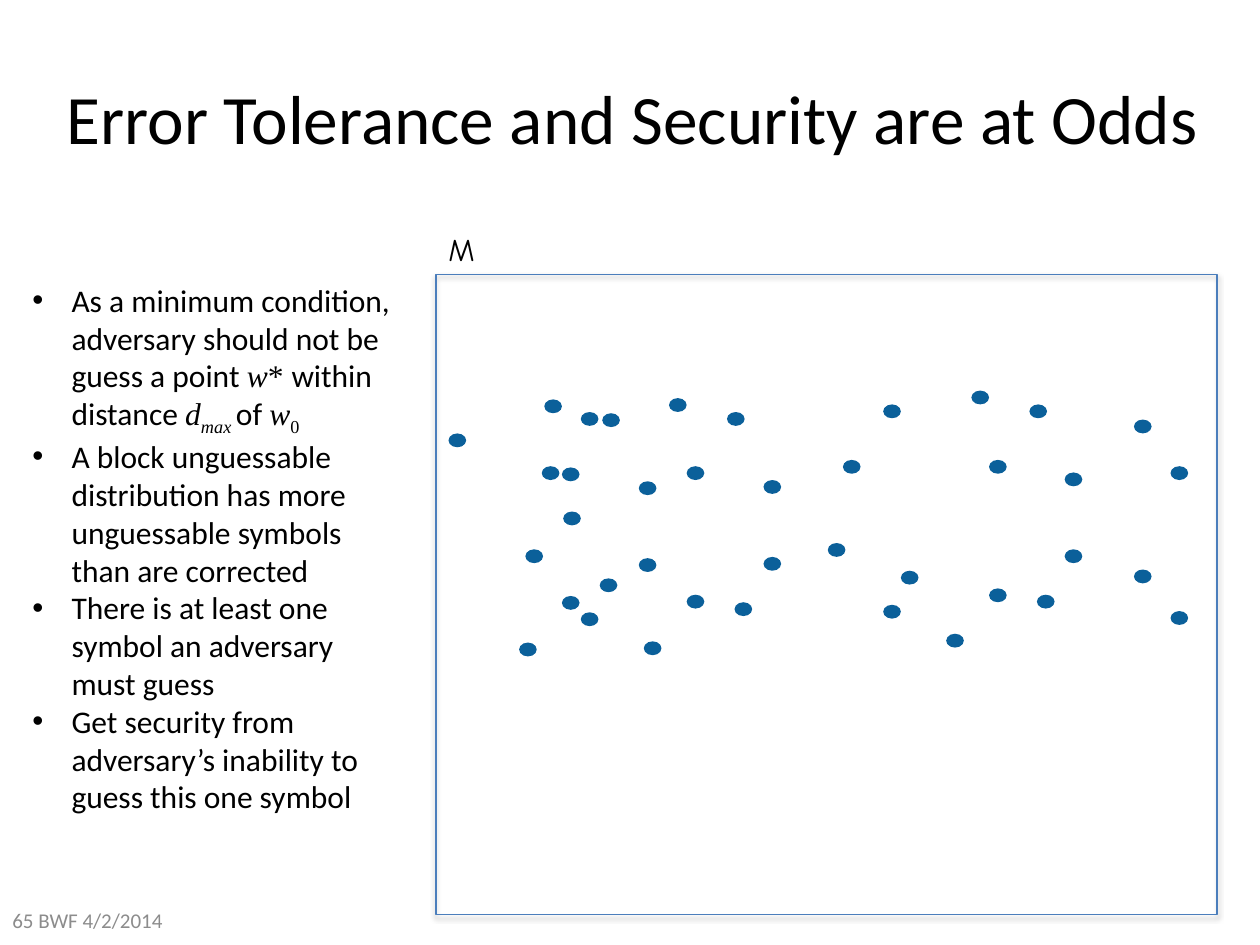
from lxml import etree
from pptx import Presentation
from pptx import util as u
from pptx.dml.color import RGBColor
from pptx.enum import shapes, text
from pptx.oxml.ns import qn

BODY_FONT = "Calibri"
MATH_FONT = "Times New Roman"
DOT_COLOR = "0B609A"
DOT_SIZE = (0.14, 0.11)

# Top-left corners of the points in the metric space
POINTS = [
    (6.57, 4.31), (6.69, 3.65), (8.17, 3.21), (7.51, 5.03), (7.15, 4.53),
    (7.71, 3.10), (8.45, 3.75), (7.85, 4.67), (8.45, 4.36), (7.85, 3.65),
    (7.01, 4.80), (8.23, 4.72), (7.01, 3.21), (4.17, 4.36), (4.30, 3.70),
    (5.77, 3.27), (5.11, 5.09), (4.76, 4.59), (5.31, 3.16), (6.06, 3.81),
    (5.45, 4.72), (6.06, 4.42), (5.45, 3.70), (4.61, 4.86), (5.83, 4.78),
    (4.61, 3.27), (9.00, 3.33), (9.29, 3.70), (4.78, 3.28), (4.12, 5.10),
    (9.29, 4.85), (4.32, 3.17), (5.07, 3.82), (4.46, 4.73), (5.07, 4.43),
    (4.46, 3.71), (4.47, 4.06), (3.56, 3.44), (9.00, 4.52),
]

# Each bullet is a list of (text, style); styles: plain, math, italic, sub, italic sub
BULLETS = [
    [("As a minimum condition, adversary should not be guess a point ", "plain"),
     ("w", "italic"), ("* ", "math"), ("within distance ", "plain"),
     ("d", "italic"), ("max ", "italic sub"), ("of ", "plain"),
     ("w", "italic"), ("0", "sub")],
    [("A block unguessable distribution has more unguessable symbols "
      "than are corrected", "plain")],
    [("There is at least one symbol an adversary must guess", "plain")],
    [("Get security from adversary’s inability to guess this one symbol", "plain")],
]


def color(value):
    return RGBColor.from_string(value)


def inches(*lengths):
    return [u.Inches(length) for length in lengths]


def set_font(font, size, name=BODY_FONT, fill="000000"):
    font.size = u.Pt(size)
    font.name = name
    font.color.rgb = color(fill)


def add_title(slide, words):
    title = slide.shapes.title
    title.left, title.top, title.width, title.height = inches(0.16, 0.3, 9.72, 1.25)
    frame = title.text_frame
    frame.text = words
    frame.vertical_anchor = text.MSO_ANCHOR.MIDDLE
    para = frame.paragraphs[0]
    para.alignment = text.PP_ALIGN.CENTER
    set_font(para.font, 39.6)


def add_text(slide, place, wrap=True, grow=False):
    frame = slide.shapes.add_textbox(*inches(*place)).text_frame
    frame.word_wrap = wrap
    if grow:
        frame.auto_size = text.MSO_AUTO_SIZE.SHAPE_TO_FIT_TEXT
    return frame


def add_label(slide, place, words, size, name, fill, wrap=True, grow=False):
    frame = add_text(slide, place, wrap, grow)
    frame.text = words
    set_font(frame.paragraphs[0].font, size, name, fill)
    return frame


def add_bullet(para, spans):
    properties = para._p.get_or_add_pPr()
    indent = u.Inches(0.31)
    properties.set("marL", str(indent))
    properties.set("indent", str(-indent))
    etree.SubElement(properties, qn("a:buFont"), typeface="Arial")
    etree.SubElement(properties, qn("a:buChar"), char="•")
    for words, style in spans:
        span = para.add_run()
        span.text = words
        set_font(span.font, 18, BODY_FONT if style == "plain" else MATH_FONT)
        span.font.italic = "italic" in style
        if "sub" in style:
            span.font._element.set("baseline", "-25000")


def add_bullets(slide, place, bullets):
    frame = add_text(slide, place, grow=True)
    for index, spans in enumerate(bullets):
        para = frame.add_paragraph() if index else frame.paragraphs[0]
        add_bullet(para, spans)


def add_space(slide, place):
    space = slide.shapes.add_shape(shapes.MSO_SHAPE.RECTANGLE, *inches(*place))
    space.fill.background()
    space.line.color.rgb = color("4B7EBC")
    space.line.width = u.Pt(0.75)
    space.shadow.inherit = False
    # Soft shadow straight below the outline
    effects = space._element.spPr.find(qn("a:effectLst"))
    shadow = etree.SubElement(
        effects, qn("a:outerShdw"), blurRad=str(u.Pt(3.1)), dist=str(u.Pt(1.8)),
        dir="5400000", rotWithShape="0")
    shade = etree.SubElement(shadow, qn("a:srgbClr"), val="000000")
    etree.SubElement(shade, qn("a:alpha"), val="35000")


def add_dot(slide, left, top):
    dot = slide.shapes.add_shape(
        shapes.MSO_SHAPE.OVAL, *inches(left, top, *DOT_SIZE))
    dot.shadow.inherit = False
    dot.fill.solid()
    dot.fill.fore_color.rgb = color(DOT_COLOR)
    dot.line.fill.background()


def main():
    deck = Presentation()
    deck.slide_width, deck.slide_height = inches(10, 7.5)
    slide = deck.slides.add_slide(deck.slide_layouts[5])

    # Metric space with its points
    add_space(slide, (3.46, 2.18, 6.2, 5.08))
    add_label(slide, (3.46, 1.78, 0.45, 0.4), "M", 18, "Comic Neue", "000000",
              wrap=False, grow=True)
    for left, top in POINTS:
        add_dot(slide, left, top)

    # Title, argument and footer
    add_title(slide, "Error Tolerance and Security are at Odds")
    add_bullets(slide, (0.16, 2.18, 3.14, 4.64), BULLETS)
    footer = add_label(slide, (0, 7.1, 2.33, 0.4), "65 BWF 4/2/2014", 12,
                       BODY_FONT, "8C8C8C")
    footer.vertical_anchor = text.MSO_ANCHOR.MIDDLE

    deck.save("out.pptx")


if __name__ == "__main__":
    main()
